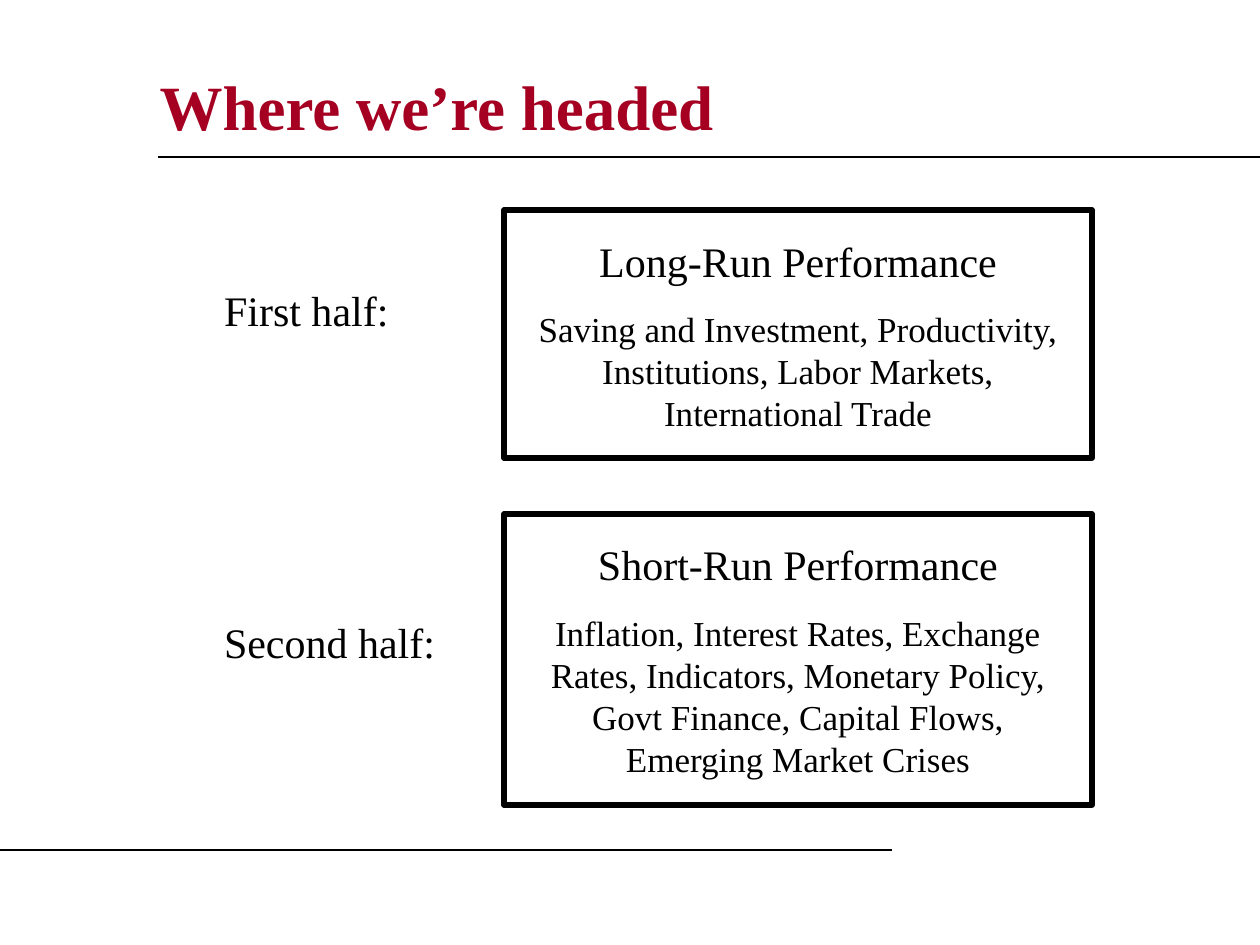
from lxml.etree import SubElement
from pptx import Presentation
from pptx.dml.color import RGBColor
from pptx.enum.shapes import MSO_CONNECTOR as CONN, MSO_SHAPE as SHAPE
from pptx.enum.text import MSO_ANCHOR as ANCHOR, PP_ALIGN as ALIGN
from pptx.oxml.ns import qn
from pptx.util import Emu, Pt

COLORS = {"title": "A50021", "ink": "000000"}
FONT = "Times New Roman"
TITLE = "Where we’re headed"
HALVES = [
    {"label": "First half:", "label_top": 294, "label_height": 76, "spacing": 0.5,
     "topic": "Long-Run Performance", "top": 210, "height": 248,
     "details": "Saving and Investment, Productivity, Institutions, "
                "Labor Markets, International Trade"},
    {"label": "Second half:", "label_top": 592, "label_height": 101, "spacing": None,
     "topic": "Short-Run Performance", "top": 514, "height": 291,
     "details": "Inflation, Interest Rates, Exchange Rates, Indicators, "
                "Monetary Policy, Govt Finance, Capital Flows, Emerging Market Crises"},
]
RULES = [(158, 1260, 157), (0, 892, 850)]
LABEL_LEFT, LABEL_WIDTH = 199, 294
BOX_LEFT, BOX_WIDTH = 504, 588
INSET = 25


def px(n):
    return Emu(n * 914400 // 126)


def color(name):
    return RGBColor.from_string(COLORS[name])


def style(p, size, name="ink", bold=False, align=ALIGN.LEFT):
    p.alignment = align
    f = p.font
    f.name, f.size, f.bold = FONT, Pt(size), bold
    f.color.rgb = color(name)


def pad(tf):
    tf.word_wrap = True
    tf.vertical_anchor = ANCHOR.TOP
    tf.margin_left = tf.margin_right = tf.margin_top = tf.margin_bottom = px(INSET)


def add_rule(slide, x1, x2, y):
    line = slide.shapes.add_connector(CONN.STRAIGHT, px(x1), px(y), px(x2), px(y))
    line.line.color.rgb = color("ink")
    line.line.width = Pt(0.75)
    SubElement(line._element.spPr, qn("a:effectLst"))


def add_box(slide, half):
    sp = slide.shapes.add_shape(SHAPE.RECTANGLE, px(BOX_LEFT), px(half["top"]),
                                px(BOX_WIDTH), px(half["height"]))
    sp.shadow.inherit = False
    sp.fill.background()
    sp.line.color.rgb = color("ink")
    sp.line.width = Pt(3)
    tf = sp.text_frame
    pad(tf)
    p = tf.paragraphs[0]
    p.text = half["topic"]
    style(p, 24, align=ALIGN.CENTER)
    p = tf.add_paragraph()
    p.text = half["details"]
    p.space_before = Pt(12.5)
    style(p, 20, align=ALIGN.CENTER)


def add_label(slide, half):
    sp = slide.shapes.add_textbox(px(LABEL_LEFT), px(half["label_top"]),
                                  px(LABEL_WIDTH), px(half["label_height"]))
    pad(sp.text_frame)
    p = sp.text_frame.paragraphs[0]
    p.text = half["label"]
    p.line_spacing = half["spacing"]
    style(p, 24)


prs = Presentation()
prs.slide_width, prs.slide_height = px(1260), px(945)
slide = prs.slides.add_slide(prs.slide_layouts[5])

title = slide.shapes.title
title.left, title.top, title.width, title.height = px(147), px(53), px(1018), px(105)
title.text_frame.vertical_anchor = ANCHOR.MIDDLE
p = title.text_frame.paragraphs[0]
p.text = TITLE
style(p, 36, "title", bold=True)

for rule in RULES:
    add_rule(slide, *rule)
for half in HALVES:
    add_box(slide, half)
    add_label(slide, half)

prs.save("out.pptx")
